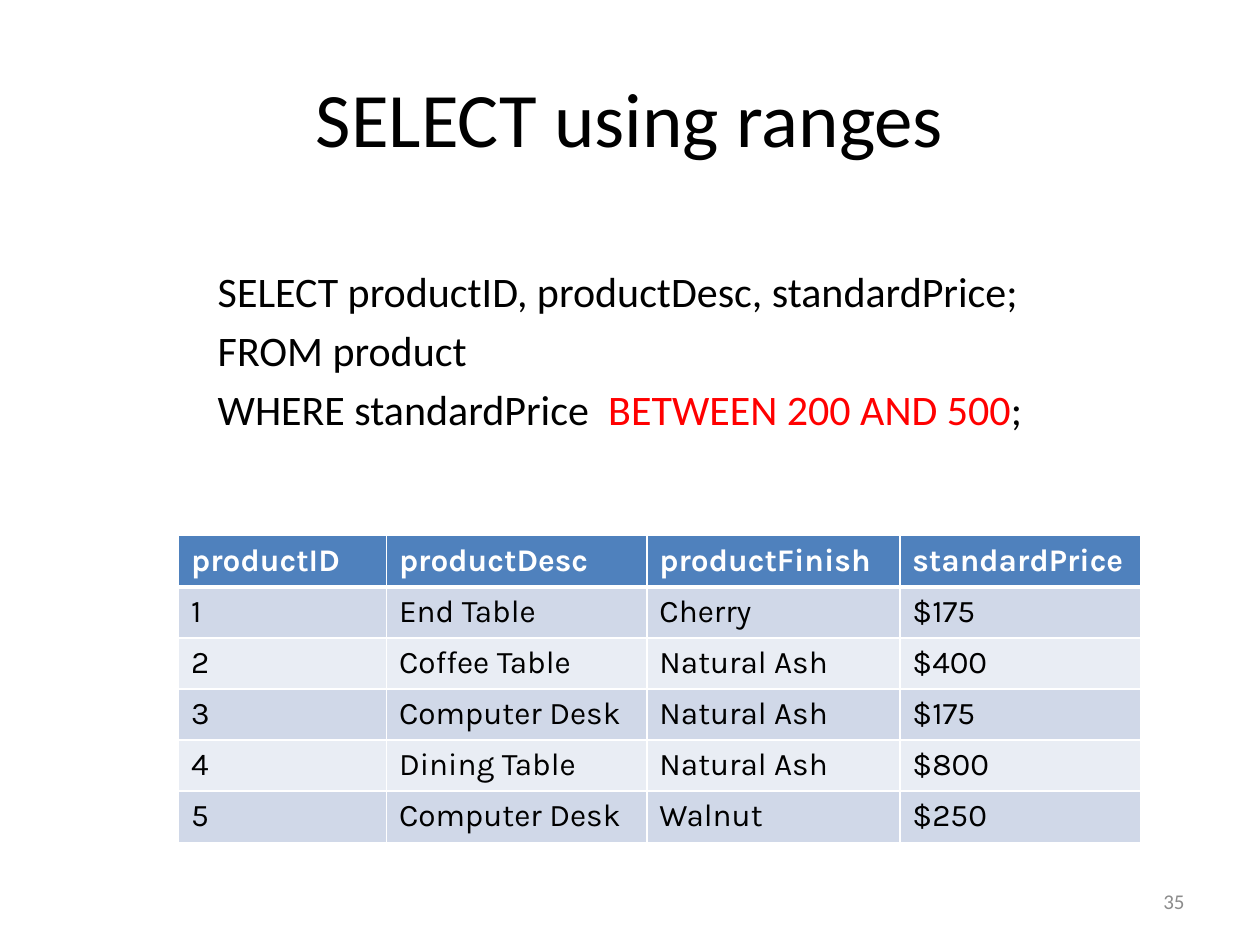
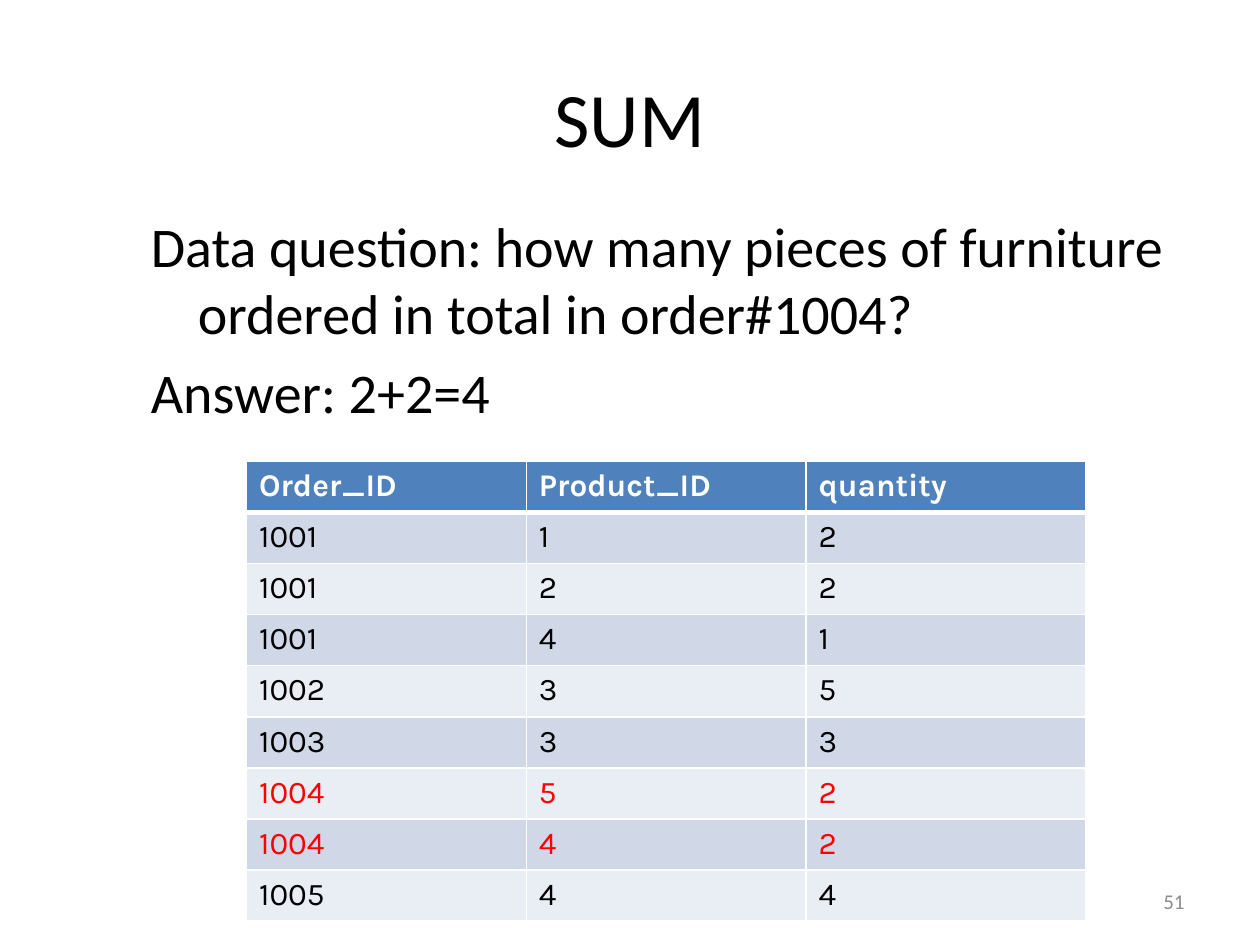
import pptx
import pptx.dml.color
import pptx.enum.text
import pptx.oxml
import pptx.oxml.ns
import pptx.util
from pptx.util import Cm

COLOURS = {
    "text": "000000",
    "highlight": "FF0000",
    "page_number": "8C8C8C",
    "header": "4F81BD",
    "odd_row": "D0D8E8",
    "even_row": "E9EDF4",
    "grid": "FFFFFF",
}
BODY_FONT = "Calibri"
TABLE_FONT = "Karla"
ALIGN = pptx.enum.text.PP_ALIGN
ANCHOR = pptx.enum.text.MSO_ANCHOR


def rgb(name):
    return pptx.dml.color.RGBColor.from_string(COLOURS[name])


def write(paragraph, text, size, font=BODY_FONT, colour="text", bold=False):
    """Add one formatted run to a paragraph."""
    run = paragraph.add_run()
    run.text = text
    run.font.name = font
    run.font.size = pptx.util.Pt(size)
    run.font.bold = bold
    run.font.color.rgb = rgb(colour)


class Deck:
    ROW_HEIGHT = Cm(1.03)

    def __init__(self):
        self.presentation = pptx.Presentation()
        self.presentation.slide_width = Cm(25.4)
        self.presentation.slide_height = Cm(19.05)
        self.slide = None

    def start_slide(self, title, number):
        """Open a slide with its shared title and page number."""
        blank = self.presentation.slide_layouts[6]
        self.slide = self.presentation.slides.add_slide(blank)
        heading = self.frame(1.27, 0.76, 22.86, 3.18, ANCHOR.MIDDLE).paragraphs[0]
        heading.alignment = ALIGN.CENTER
        write(heading, title, 44)
        footer = self.frame(18.21, 17.65, 5.92, 1.02, ANCHOR.MIDDLE).paragraphs[0]
        footer.alignment = ALIGN.RIGHT
        write(footer, str(number), 12, colour="page_number")

    def frame(self, left, top, width, height, anchor=ANCHOR.TOP):
        box = self.slide.shapes.add_textbox(Cm(left), Cm(top), Cm(width), Cm(height))
        box.text_frame.word_wrap = True
        box.text_frame.vertical_anchor = anchor
        return box.text_frame

    def body(self, place, lines, size, margin, hanging):
        """Each line is a list of (text, colour) pieces."""
        frame = self.frame(*place)
        for index, pieces in enumerate(lines):
            paragraph = frame.add_paragraph() if index else frame.paragraphs[0]
            paragraph.space_before = pptx.util.Pt(0.2 * size)
            properties = paragraph._p.get_or_add_pPr()
            properties.set("marL", str(Cm(margin)))
            properties.set("indent", str(-Cm(hanging)))
            for text, colour in pieces:
                write(paragraph, text, size, colour=colour)

    def border(self, cell, side, points):
        line = pptx.oxml.parse_xml(
            f'<a:{side} {pptx.oxml.ns.nsdecls("a")} w="{pptx.util.Pt(points)}">'
            f'<a:solidFill><a:srgbClr val="{COLOURS["grid"]}"/></a:solidFill></a:{side}>')
        cell._tc.get_or_add_tcPr().append(line)

    def table(self, left, top, widths, rows, highlighted=()):
        """The first row is the header; highlighted lists row numbers."""
        table = self.slide.shapes.add_table(
            len(rows), len(widths), Cm(left), Cm(top),
            Cm(sum(widths)), self.ROW_HEIGHT * len(rows)).table
        table.horz_banding = False
        for column, width in zip(table.columns, widths):
            column.width = Cm(width)
        for number, values in enumerate(rows):
            table.rows[number].height = self.ROW_HEIGHT
            is_header = number == 0
            if is_header:
                fill, colour = "header", "grid"
            else:
                fill = "odd_row" if number % 2 else "even_row"
                colour = "highlight" if number in highlighted else "text"
            for column, value in enumerate(values):
                cell = table.cell(number, column)
                # The rule below the header is thicker than the grid
                self.border(cell, "lnL", 1)
                self.border(cell, "lnR", 1)
                self.border(cell, "lnT", 3 if number == 1 else 1)
                self.border(cell, "lnB", 3 if is_header else 1)
                cell.fill.solid()
                cell.fill.fore_color.rgb = rgb(fill)
                write(cell.text_frame.paragraphs[0], value, 18,
                      font=TABLE_FONT, colour=colour, bold=is_header)


deck = Deck()

# Range query and the product table
deck.start_slide("SELECT using ranges", 35)
query = [
    [("SELECT productID, productDesc, standardPrice;", "text")],
    [("FROM product", "text")],
    [("WHERE standardPrice  ", "text"),
     ("BETWEEN 200 AND 500", "highlight"),
     (";", "text")],
]
deck.body((2.87, 5.23, 21.44, 5.08), query, size=24, margin=2.06, hanging=0.79)
products = [
    ("productID", "productDesc", "productFinish", "standardPrice"),
    ("1", "End Table", "Cherry", "$175"),
    ("2", "Coffee Table", "Natural Ash", "$400"),
    ("3", "Computer Desk", "Natural Ash", "$175"),
    ("4", "Dining Table", "Natural Ash", "$800"),
    ("5", "Computer Desk", "Walnut", "$250"),
]
deck.table(3.6, 10.8, (4.19, 5.25, 5.1, 4.85), products)

# Sum question and the order lines
deck.start_slide("SUM", 51)
question = [
    [("Data question: how many pieces of furniture ordered in total "
      "in order#1004?", "text")],
    [("Answer: 2+2=4", "text")],
]
deck.body((2.79, 4.14, 22.61, 4.8), question, size=32, margin=0.95, hanging=0.95)
order_lines = [
    ("Order_ID", "Product_ID", "quantity"),
    ("1001", "1", "2"),
    ("1001", "2", "2"),
    ("1001", "4", "1"),
    ("1002", "3", "5"),
    ("1003", "3", "3"),
    ("1004", "5", "2"),
    ("1004", "4", "2"),
    ("1005", "4", "4"),
]
order_1004 = [number for number, line in enumerate(order_lines) if line[0] == "1004"]
deck.table(4.97, 9.3, (5.64,) * 3, order_lines, highlighted=order_1004)

deck.presentation.save("out.pptx")
